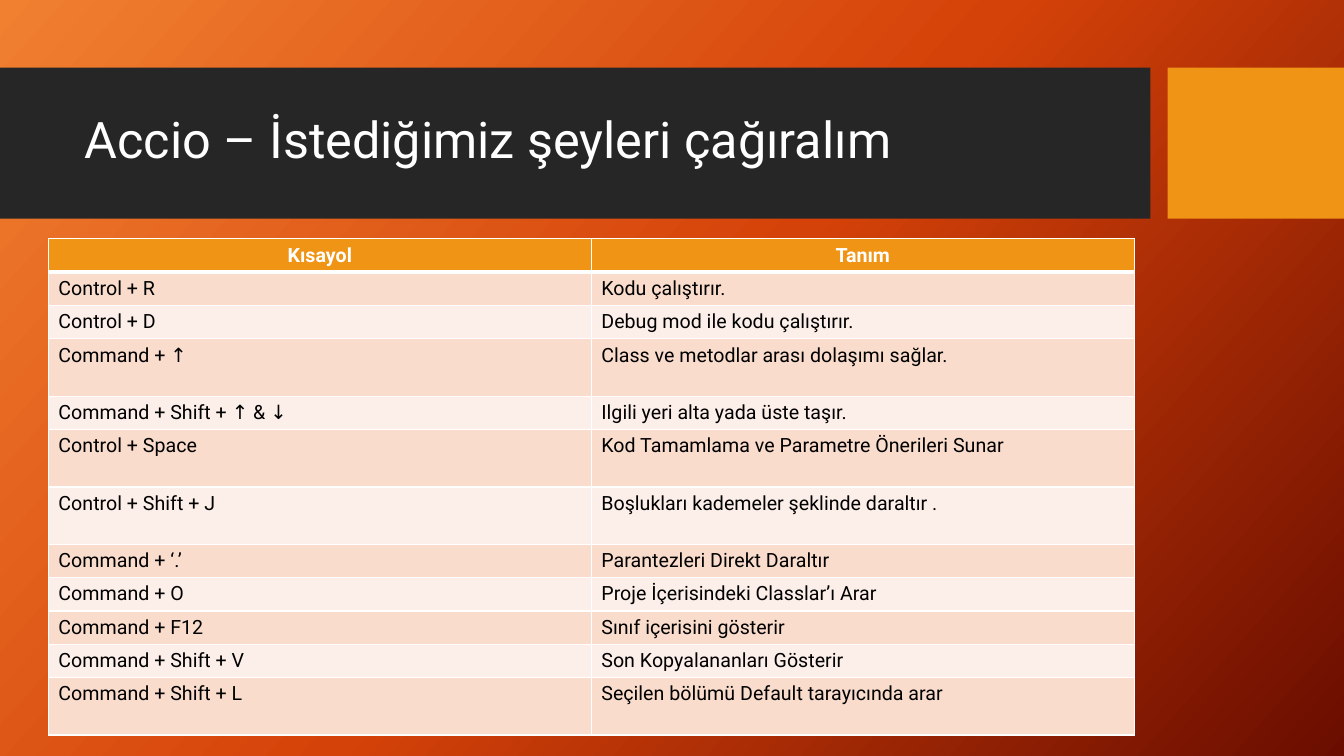
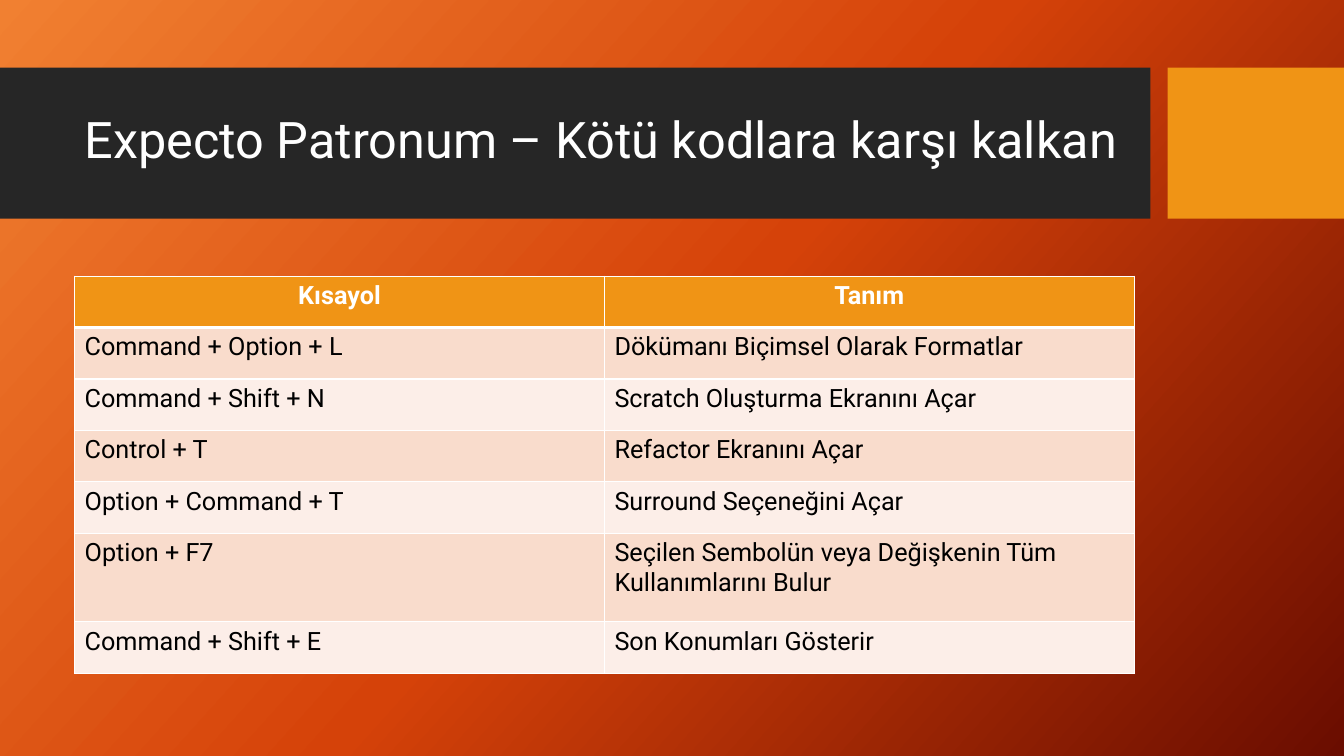
from copy import deepcopy
from dataclasses import dataclass
from typing import Any

from lxml import etree
from pptx import Presentation
from pptx import util as u
from pptx.dml.color import RGBColor
from pptx.enum import shapes, text
from pptx.oxml import ns

WHITE = RGBColor(0xFF, 0xFF, 0xFF)
BLACK = RGBColor(0, 0, 0)
CHARCOAL = RGBColor(0x26, 0x26, 0x26)
AMBER = RGBColor(0xF0, 0x94, 0x15)
PEACH = RGBColor(0xF9, 0xDC, 0xCC)
CREAM = RGBColor(0xFC, 0xEE, 0xE8)
BACKGROUND_STOPS = (
    (0, RGBColor(0xF1, 0x80, 0x31)),
    (0.5, RGBColor(0xD5, 0x42, 0x09)),
    (1, RGBColor(0x6A, 0x0D, 0x00)),
)
BACKGROUND_ANGLE = 42

FONT = "Roboto"
TITLE_ONLY = 5
BAND_TOP, BAND_HEIGHT = 0.67, 1.5
HEADINGS = ("Kısayol", "Tanım")
TITLE_PLACE = {"left": u.Inches(0.74), "top": u.Inches(0.82),
               "width": u.Inches(10.51), "height": u.Inches(1.18)}
TITLE_FRAME = {"word_wrap": True, "auto_size": text.MSO_AUTO_SIZE.NONE,
               "vertical_anchor": text.MSO_ANCHOR.MIDDLE}
TITLE_PARAGRAPH = {"alignment": text.PP_ALIGN.LEFT, "line_spacing": 0.9}
TITLE_FONT = {"name": FONT, "size": u.Pt(36), "bold": False}


@dataclass(frozen=True)
class Band:
    """A coloured block beside or behind the title."""
    left: float
    width: float
    color: RGBColor


@dataclass(frozen=True)
class Shortcut:
    """One keyboard shortcut and what it does."""
    keys: str
    meaning: str
    tall: bool = False


@dataclass(frozen=True)
class ShortcutSlide:
    """A title and its shortcut table, in inches and points."""
    title: str
    left: float
    top: float
    width: float
    row_height: float
    tall_height: float
    font_size: int
    shortcuts: tuple[Shortcut, ...]


BANDS = (Band(0, 11.41, CHARCOAL), Band(11.58, 1.75, AMBER))

SLIDES = (
    ShortcutSlide(
        "Accio – İstediğimiz şeyleri çağıralım",
        0.48, 2.37, 10.77, 0.33, 0.57, 14,
        (
            Shortcut("Control + R", "Kodu çalıştırır."),
            Shortcut("Control + D", "Debug mod ile kodu çalıştırır."),
            Shortcut("Command + ↑", "Class ve metodlar arası dolaşımı sağlar.", True),
            Shortcut("Command + Shift + ↑ & ↓", "Ilgili yeri alta yada üste taşır."),
            Shortcut("Control + Space", "Kod Tamamlama ve Parametre Önerileri Sunar", True),
            Shortcut("Control + Shift + J", "Boşlukları kademeler şeklinde daraltır .", True),
            Shortcut("Command + ‘.’", "Parantezleri Direkt Daraltır"),
            Shortcut("Command + O", "Proje İçerisindeki Classlar’ı Arar"),
            Shortcut("Command + F12", "Sınıf içerisini gösterir"),
            Shortcut("Command + Shift + V", "Son Kopyalananları Gösterir"),
            Shortcut("Command + Shift + L", "Seçilen bölümü Default tarayıcında arar", True),
        ),
    ),
    ShortcutSlide(
        "Expecto Patronum – Kötü kodlara karşı kalkan",
        0.74, 2.74, 10.51, 0.51, 0.88, 18,
        (
            Shortcut("Command + Option + L", "Dökümanı Biçimsel Olarak Formatlar"),
            Shortcut("Command + Shift + N", "Scratch Oluşturma Ekranını Açar"),
            Shortcut("Control + T", "Refactor Ekranını Açar"),
            Shortcut("Option + Command + T", "Surround Seçeneğini Açar"),
            Shortcut("Option + F7",
                     "Seçilen Sembolün veya Değişkenin Tüm Kullanımlarını Bulur", True),
            Shortcut("Command + Shift + E", "Son Konumları Gösterir"),
        ),
    ),
)


def apply_formats(target: Any, formats: dict[str, Any]) -> None:
    """Set each named format value on the target."""
    for name, value in formats.items():
        setattr(target, name, value)


def paint_background(master: Any) -> None:
    """Give the master the diagonal gradient all slides share."""
    fill = master.background.fill
    fill.gradient()
    fill.gradient_angle = 360 - BACKGROUND_ANGLE
    stop_list = master.element.find(".//" + ns.qn("a:gsLst"))
    stop_list.append(deepcopy(stop_list[0]))
    for stop, (position, color) in zip(fill.gradient_stops, BACKGROUND_STOPS):
        stop.position = position
        stop.color.rgb = color


def draw_band(slide: Any, band: Band) -> None:
    """Draw one plain block of the title strip."""
    block = slide.shapes.add_shape(
        shapes.MSO_SHAPE.RECTANGLE, u.Inches(band.left), u.Inches(BAND_TOP),
        u.Inches(band.width), u.Inches(BAND_HEIGHT))
    block.shadow.inherit = False
    block.fill.solid()
    block.fill.fore_color.rgb = band.color
    block.line.fill.background()


def write_title(slide: Any, wording: str) -> None:
    """Place the title in front of the bands and format it."""
    title = slide.shapes.title
    title.element.getparent().append(title.element)
    apply_formats(title, TITLE_PLACE)
    apply_formats(title.text_frame, TITLE_FRAME)
    title.text_frame.text = wording
    paragraph = title.text_frame.paragraphs[0]
    apply_formats(paragraph, TITLE_PARAGRAPH)
    apply_formats(paragraph.font, TITLE_FONT)
    paragraph.font.color.rgb = WHITE


def border_cell(cell: Any, widths: dict[str, int]) -> None:
    """Add white borders, given in points by side letter."""
    properties = cell._tc.get_or_add_tcPr()
    for side, width in widths.items():
        line = etree.SubElement(properties, ns.qn(f"a:ln{side}"), w=str(u.Pt(width)))
        solid = etree.SubElement(line, ns.qn("a:solidFill"))
        etree.SubElement(solid, ns.qn("a:srgbClr"), val=str(WHITE))


def write_cell(cell: Any, wording: str, row: int, font_size: int) -> None:
    """Fill in one cell as a heading or as part of a striped row."""
    heading = row == 0
    border_cell(cell, {"L": 1, "R": 1, "T": 3 if row == 1 else 1,
                       "B": 3 if heading else 1})
    cell.fill.solid()
    cell.fill.fore_color.rgb = AMBER if heading else PEACH if row % 2 else CREAM
    cell.text = wording
    paragraph = cell.text_frame.paragraphs[0]
    paragraph.alignment = text.PP_ALIGN.CENTER if heading else text.PP_ALIGN.LEFT
    font = paragraph.runs[0].font
    apply_formats(font, {"name": FONT, "size": u.Pt(font_size), "bold": heading})
    font.color.rgb = WHITE if heading else BLACK


def draw_shortcuts(slide: Any, content: ShortcutSlide) -> None:
    """Draw the two-column shortcut table."""
    rows = (Shortcut(*HEADINGS), *content.shortcuts)
    heights = [content.tall_height if row.tall else content.row_height for row in rows]
    table = slide.shapes.add_table(
        len(rows), len(HEADINGS), u.Inches(content.left), u.Inches(content.top),
        u.Inches(content.width), u.Inches(sum(heights))).table
    table.horz_banding = False
    for index, (shortcut, height) in enumerate(zip(rows, heights)):
        table.rows[index].height = u.Inches(height)
        for column, wording in enumerate((shortcut.keys, shortcut.meaning)):
            write_cell(table.cell(index, column), wording, index, content.font_size)


def build_slide(deck: Any, content: ShortcutSlide) -> None:
    """Add one slide with its bands, title and table."""
    slide = deck.slides.add_slide(deck.slide_layouts[TITLE_ONLY])
    for band in BANDS:
        draw_band(slide, band)
    write_title(slide, content.title)
    draw_shortcuts(slide, content)


def main() -> None:
    """Build and save the deck."""
    deck = Presentation()
    apply_formats(deck, {"slide_width": u.Inches(13.33), "slide_height": u.Inches(7.5)})
    paint_background(deck.slide_master)
    for content in SLIDES:
        build_slide(deck, content)
    deck.save("out.pptx")


main()
